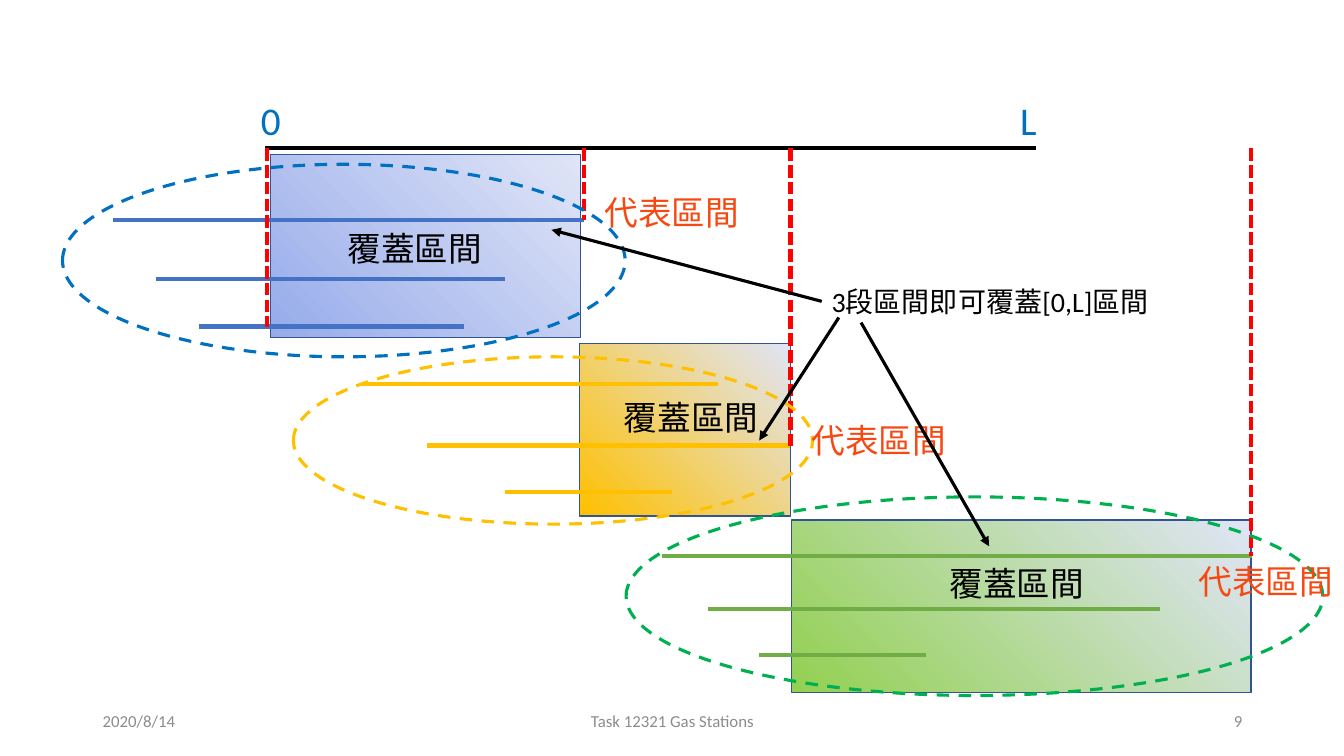
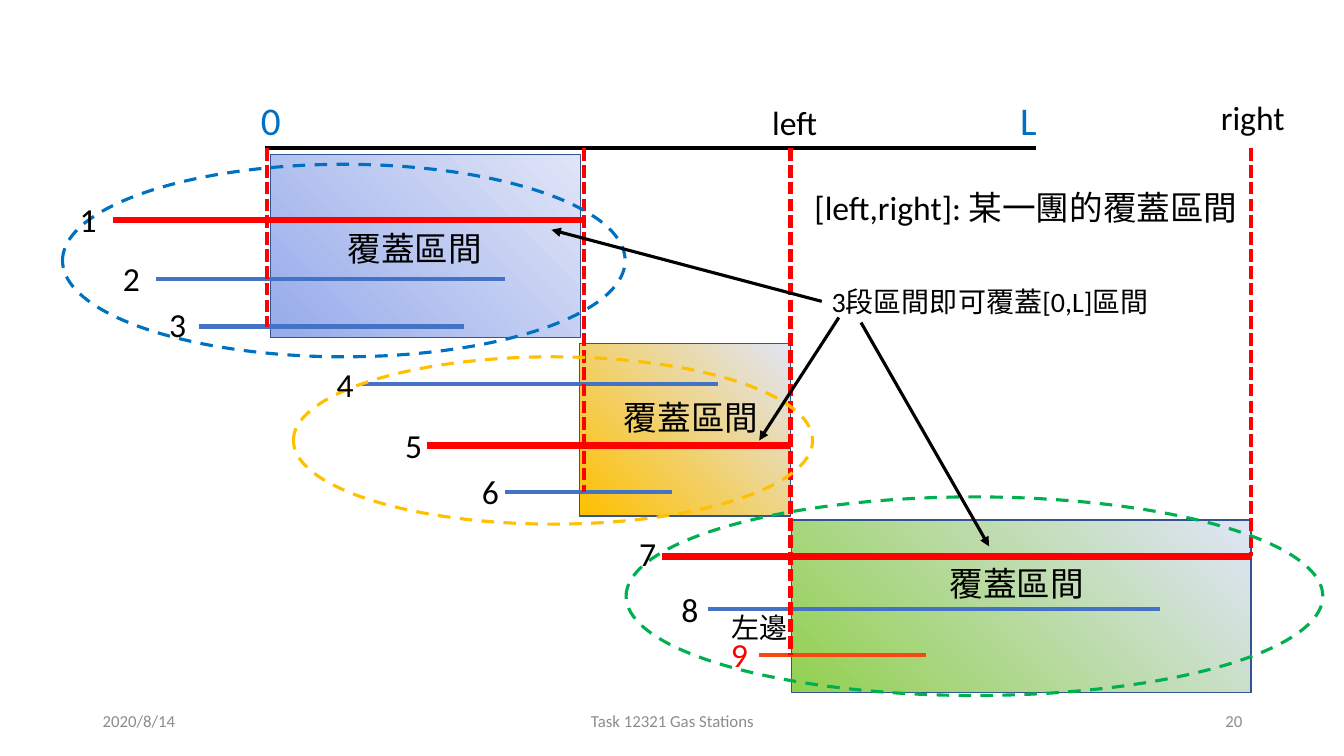
"""Builds two slides on covering the range [0,L] with three groups of intervals."""
from lxml.etree import SubElement
from pptx import Presentation
from pptx.dml.color import RGBColor as RGB
from pptx.enum.dml import MSO_LINE as DASH
from pptx.enum.shapes import MSO_CONNECTOR as CONN, MSO_SHAPE as SHAPE
from pptx.enum.text import MSO_ANCHOR as ANCHOR, MSO_AUTO_SIZE as AUTO, PP_ALIGN as ALIGN
from pptx.oxml.ns import qn
from pptx.util import Inches, Pt

HUE = {
    "black": "000000", "gray": "8C8C8C", "red": "FF0000", "coral": "F74811",
    "blue": "4472C4", "gold": "FFC000", "green": "70AD47", "edge": "325491",
    "sky": "0070C0", "leaf": "00B050", "haze": "96ABEA", "lime": "92D050", "pale": "E0E5F7",
}
LATIN, HAN = "Calibri", "Noto Sans CJK SC"
TOP = 1.47

GROUPS = [
    ((7.85, 5.16, 4.56, 1.71), "lime", (6.21, 4.93, 6.91, 1.97), "leaf", (9.32, 5.54)),
    ((5.75, 3.41, 2.09, 1.71), "gold", (2.91, 3.54, 5.15, 1.66), "gold", (6.09, 3.89)),
    ((2.68, 1.53, 3.08, 1.82), "haze", (0.62, 1.63, 5.58, 1.91), "sky", (3.35, 2.21)),
]
BARS = [
    (1.12, 5.79, 2.18), (1.55, 5.01, 2.77), (1.97, 4.6, 3.24),
    (3.59, 7.12, 3.81), (4.24, 7.84, 4.42), (5.01, 6.67, 4.88),
    (6.57, 12.42, 5.52), (7.02, 11.51, 6.04), (7.53, 9.18, 6.5),
]
FOOT = [
    (0.92, 3, "2020/8/14", ALIGN.LEFT),
    (4.42, 4.5, "Task 12321 Gas Stations", ALIGN.CENTER),
    (9.42, 3, None, ALIGN.RIGHT),
]
TIPS = [((8.15, 2.98), (5.47, 2.28)), ((8.32, 3.15), (7.53, 4.37)), ((8.54, 3.2), (9.81, 5.42))]
NOTE = ["3", "段區間即可覆蓋", "[0,L]", "區間"]
REPS = [(5.9, 1.85), (7.95, 4.12), (11.79, 5.52)]
DIGITS = [
    (0.69, 1.92), (1.12, 2.51), (1.58, 2.97), (3.24, 3.56), (3.92, 4.17),
    (4.68, 4.62), (6.24, 5.24), (6.66, 5.79), (7.15, 6.24),
]
PAGES = [
    {
        "num": "9",
        "bars": ["blue"] * 3 + ["gold"] * 3 + ["green"] * 3,
        "keys": [],
        "drops": [(2.65, 3.24), (5.79, 2.18), (7.84, 4.42), (12.41, 5.52)],
        "words": [(x, y, 1.67, 0.5, ["代表區間"], 24, "coral") for x, y in REPS],
    },
    {
        "num": "20",
        "bars": ["blue"] * 8 + ["coral"],
        "keys": [0, 4, 6],
        "drops": [(2.65, 3.24), (5.79, 4.88), (7.84, 6.5), (12.41, 5.52)],
        "words": [
            (x, y, 0.42, 0.5, [str(n)], 24, "red" if n == 9 else "black")
            for n, (x, y) in enumerate(DIGITS, 1)
        ] + [
            (7.56, 0.96, 0.89, 0.5, ["left"], 24, "black"),
            (12.01, 0.91, 0.89, 0.5, ["right"], 24, "black"),
            (7.16, 6.01, 0.9, 0.44, ["左邊"], 20, "black"),
            (7.98, 1.81, 4.4, 0.9, ["[left,right]: ", "某一團的覆蓋區間"], 24, "black"),
        ],
    },
]


def write(page, x, y, wide, high, runs, size, tone, align=ALIGN.LEFT, **extra):
    box = page.shapes.add_textbox(*map(Inches, (x, y, wide, high)))
    frame = {"word_wrap": True, "auto_size": AUTO.SHAPE_TO_FIT_TEXT, **extra}
    for key, val in frame.items():
        setattr(box.text_frame, key, val)
    para = box.text_frame.paragraphs[0]
    para.alignment = align
    for words in runs:
        run = para.add_run()
        run.text = words
        face = HAN if max(words) >= "一" else LATIN
        for key, val in {"size": Pt(size), "name": face}.items():
            setattr(run.font, key, val)
        run.font.color.rgb = RGB.from_string(HUE[tone])
        SubElement(run.font._element, qn("a:ea"), typeface=face)
    return box


def draw(page, start, end, tone, width=3, dash=None, head=False):
    wire = page.shapes.add_connector(CONN.STRAIGHT, *map(Inches, (*start, *end)))
    wire.line.color.rgb = RGB.from_string(HUE[tone])
    for key, val in {"width": Pt(width), "dash_style": dash}.items():
        setattr(wire.line, key, val)
    if head:
        SubElement(wire.line._get_or_add_ln(), qn("a:tailEnd"), type="triangle")
    SubElement(wire._element.spPr, qn("a:effectLst"))
    return wire


deck = Presentation()
deck.slide_width, deck.slide_height = Inches(13.33), Inches(7.5)

for plan in PAGES:
    page = deck.slides.add_slide(deck.slide_layouts[6])

    for area, tone, *_ in GROUPS:
        block = page.shapes.add_shape(SHAPE.RECTANGLE, *map(Inches, area))
        block.shadow.inherit = False
        block.fill.gradient()
        block.fill.gradient_angle = 45
        for stop, name in zip(block.fill.gradient_stops, (tone, "pale")):
            stop.color.rgb = RGB.from_string(HUE[name])
        block.line.color.rgb = RGB.from_string(HUE["edge"])
        block.line.width = Pt(1)

    for x, wide, words, align in FOOT:
        write(page, x, 6.95, wide, 0.4, [words or plan["num"]], 12, "gray", align,
              auto_size=AUTO.NONE, vertical_anchor=ANCHOR.MIDDLE)

    draw(page, (2.63, TOP), (10.28, TOP), "black")
    for x, name in ((2.49, "0"), (10.02, "L")):
        write(page, x, 0.91, 0.43, 0.57, [name], 28, "sky")

    for n, ((left, right, y), tone) in enumerate(zip(BARS, plan["bars"])):
        if n not in plan["keys"]:
            draw(page, (left, y), (right, y), tone)
    for x, low in plan["drops"]:
        draw(page, (x, TOP), (x, low), "red", dash=DASH.SQUARE_DOT)

    for _, _, area, tone, _ in GROUPS:
        oval = page.shapes.add_shape(SHAPE.OVAL, *map(Inches, area))
        oval.shadow.inherit = False
        oval.fill.background()
        oval.line.color.rgb = RGB.from_string(HUE[tone])
        for key, val in {"width": Pt(2.25), "dash_style": DASH.DASH}.items():
            setattr(oval.line, key, val)

    for n in plan["keys"]:
        left, right, y = BARS[n]
        draw(page, (left, y), (right, y), "red", 4.5)

    for item in plan["words"]:
        write(page, *item)
    note = write(page, 8.15, 2.77, 3.57, 0.44, NOTE, 20, "black")
    tips = [draw(page, *ends, "black", 2.25, head=True) for ends in TIPS]
    tips[0].begin_connect(note, 1)
    for *_, (x, y) in GROUPS:
        write(page, x, y, 1.61, 0.5, ["覆蓋區間"], 24, "black")

deck.save("out.pptx")
